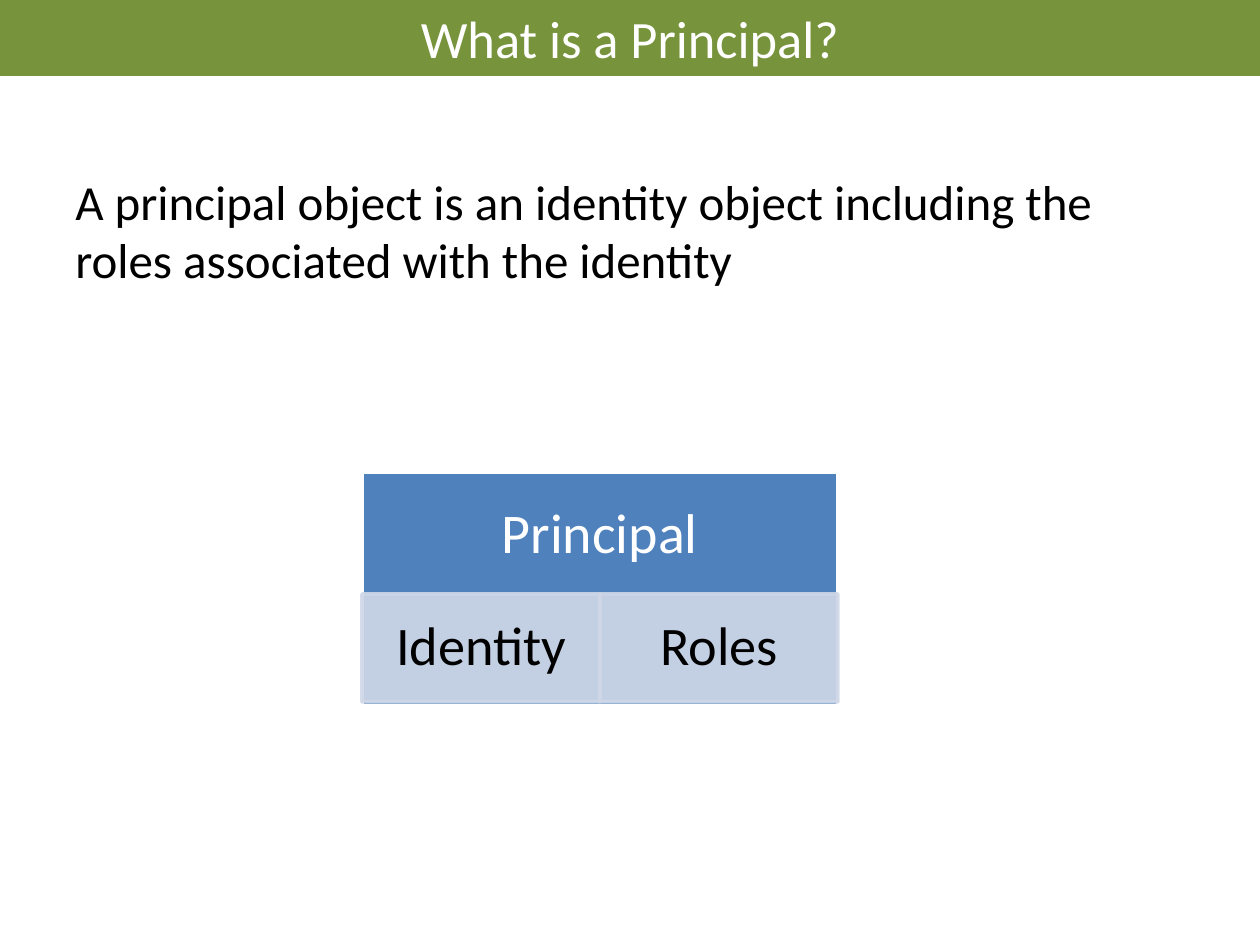
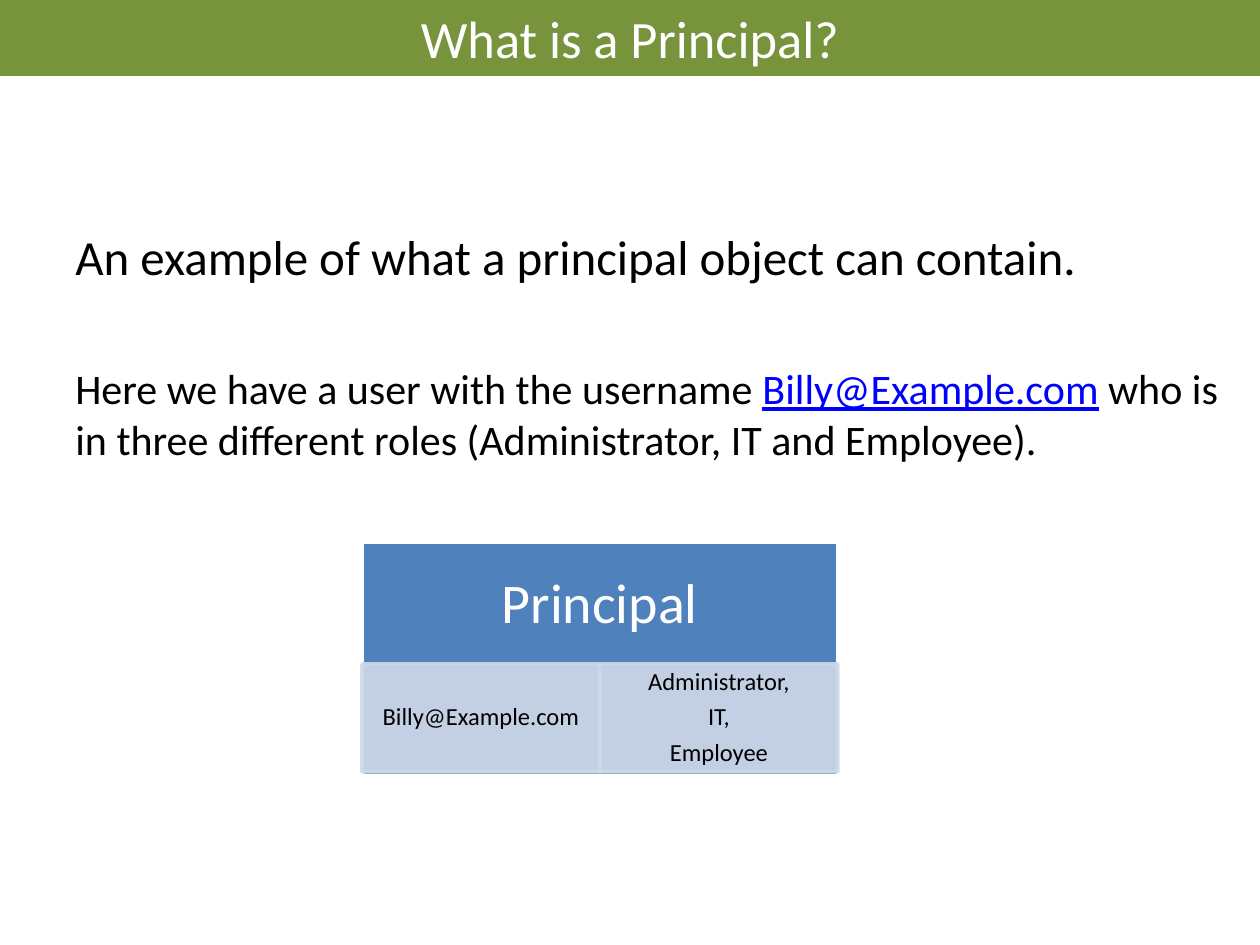
"""Build two slides that explain what a principal object is."""
from dataclasses import dataclass

from lxml import etree
from pptx import Presentation, util as u
from pptx.dml.color import RGBColor
from pptx.enum import shapes, text
from pptx.oxml.ns import qn

PX = 914400 / 126  # EMU in one pixel
SLIDE_W, SLIDE_H = 1260, 945


@dataclass(frozen=True)
class Theme:
    """Colours, font and type sizes that the slides share."""
    band: str = "77933C"
    box: str = "4F81BD"
    cell: str = "D0D8E8"
    white: str = "FFFFFF"
    ink: str = "000000"
    address: str = "0000FF"
    font: str = "Calibri"
    title_pt: float = 30
    lead_pt: float = 28
    detail_pt: float = 24
    header_pt: float = 32
    border_pt: float = 2
    cell_alpha: int = 90


@dataclass(frozen=True)
class Rect:
    """A place on the slide in pixels."""
    x: int
    y: int
    w: int
    h: int

    def emu(self) -> list[u.Emu]:
        """Give left, top, width and height in EMU."""
        return [px(v) for v in (self.x, self.y, self.w, self.h)]


@dataclass(frozen=True)
class Para:
    """A body paragraph; its runs are pairs of wording and colour."""
    runs: tuple[tuple[str, str], ...]
    size: float
    before: float


@dataclass(frozen=True)
class Diagram:
    """A principal box with a row of cells, each a tuple of lines."""
    top: int
    cells: tuple[tuple[str, ...], ...]
    size: float
    inset_x: int
    inset_y: int


@dataclass(frozen=True)
class Page:
    """What differs from one slide to the next."""
    body: Rect
    paras: tuple[Para, ...]
    diagram: Diagram


THEME = Theme()
TITLE = "What is a Principal?"
BAND = Rect(0, 0, SLIDE_W, 76)
BOX_X, BOX_W, BOX_H = 362, 476, 234
HEADER_H, HEADER_INSET = 126, 32
CELLS_DY, CELL_H = 122, 108
USER = "Billy@Example.com"

PAGES = (
    Page(
        Rect(63, 165, 1133, 679),
        (Para((("A principal object is an identity object including the "
                "roles associated with the identity", THEME.ink),),
              THEME.lead_pt, 5.6),),
        Diagram(472, (("Identity",), ("Roles",)), 31, 30, 5),
    ),
    Page(
        Rect(63, 220, 1172, 624),
        (Para((("An example of what a principal object can contain.",
                THEME.ink),), THEME.lead_pt, 5.6),
         Para((("Here we have a user with the username ", THEME.ink),
               (USER, THEME.address),
               (" who is in three different roles "
                "(Administrator, IT and Employee).", THEME.ink)),
              THEME.detail_pt, 44.5)),
        Diagram(542, ((USER,), ("Administrator,", "IT,", "Employee")),
                14, 14, 3),
    ),
)


def px(value: float) -> u.Emu:
    """Turn pixels into EMU."""
    return u.Emu(round(value * PX))


def style(p, size: float, colour: str) -> None:
    """Set the font of a whole paragraph."""
    p.font.name = THEME.font
    p.font.size = u.Pt(size)
    p.font.color.rgb = RGBColor.from_string(colour)


def paragraphs(tf, count: int) -> list:
    """Make a text frame hold the given number of paragraphs."""
    return [tf.paragraphs[0]] + [tf.add_paragraph() for _ in range(count - 1)]


def add_rect(slide, rect: Rect, fill: str, line: str | None = None,
             alpha: int = 100):
    """Add a flat rectangle, with a border if a line colour is given."""
    sp = slide.shapes.add_shape(shapes.MSO_SHAPE.RECTANGLE, *rect.emu())
    sp.shadow.inherit = False
    sp.fill.solid()
    sp.fill.fore_color.rgb = RGBColor.from_string(fill)
    if line:
        sp.line.color.rgb = RGBColor.from_string(line)
        sp.line.width = u.Pt(THEME.border_pt)
    else:
        sp.line.fill.background()
    if alpha < 100:
        for colour in sp._element.spPr.iter(qn("a:srgbClr")):
            etree.SubElement(colour, qn("a:alpha"), val=str(alpha * 1000))
    return sp


def add_textbox(slide, rect: Rect):
    """Add a wrapping text box and return its text frame."""
    tf = slide.shapes.add_textbox(*rect.emu()).text_frame
    tf.word_wrap = True
    return tf


def write_label(tf, lines: tuple[str, ...], size: float, colour: str,
                inset_x: int, inset_y: int) -> None:
    """Write centred diagram lines with the diagram's tight spacing."""
    tf.vertical_anchor = text.MSO_ANCHOR.MIDDLE
    tf.margin_left = tf.margin_right = px(inset_x)
    tf.margin_top = tf.margin_bottom = px(inset_y)
    for p, line in zip(paragraphs(tf, len(lines)), lines):
        p.text = line
        p.alignment = text.PP_ALIGN.CENTER
        p.line_spacing = 0.9
        p.space_after = u.Pt(0.35 * size)
        style(p, size, colour)


def add_title(slide) -> None:
    """Draw the title band."""
    tf = add_rect(slide, BAND, THEME.band).text_frame
    tf.vertical_anchor = text.MSO_ANCHOR.MIDDLE
    p = tf.paragraphs[0]
    p.text = TITLE
    p.alignment = text.PP_ALIGN.CENTER
    style(p, THEME.title_pt, THEME.white)


def add_body(slide, rect: Rect, paras: tuple[Para, ...]) -> None:
    """Write the body text; addresses are coloured and underlined."""
    tf = add_textbox(slide, rect)
    for p, para in zip(paragraphs(tf, len(paras)), paras):
        p.space_before = u.Pt(para.before)
        style(p, para.size, THEME.ink)
        for wording, colour in para.runs:
            r = p.add_run()
            r.text = wording
            if colour != THEME.ink:
                r.font.color.rgb = RGBColor.from_string(colour)
                r.font.underline = True


def add_diagram(slide, diagram: Diagram) -> None:
    """Draw the principal box, its header and its equal cells."""
    add_rect(slide, Rect(BOX_X, diagram.top, BOX_W, BOX_H),
             THEME.box, THEME.white)
    header = add_textbox(slide, Rect(BOX_X, diagram.top, BOX_W, HEADER_H))
    write_label(header, ("Principal",), THEME.header_pt, THEME.white,
                HEADER_INSET, HEADER_INSET)
    cell_w = BOX_W // len(diagram.cells)
    for i, lines in enumerate(diagram.cells):
        rect = Rect(BOX_X + i * cell_w, diagram.top + CELLS_DY, cell_w, CELL_H)
        sp = add_rect(slide, rect, THEME.cell, THEME.cell, THEME.cell_alpha)
        write_label(sp.text_frame, lines, diagram.size, THEME.ink,
                    diagram.inset_x, diagram.inset_y)


def main() -> None:
    """Build and save the presentation."""
    prs = Presentation()
    prs.slide_width, prs.slide_height = px(SLIDE_W), px(SLIDE_H)
    for page in PAGES:
        slide = prs.slides.add_slide(prs.slide_layouts[6])
        add_title(slide)
        add_body(slide, page.body, page.paras)
        add_diagram(slide, page.diagram)
    prs.save("out.pptx")


main()
